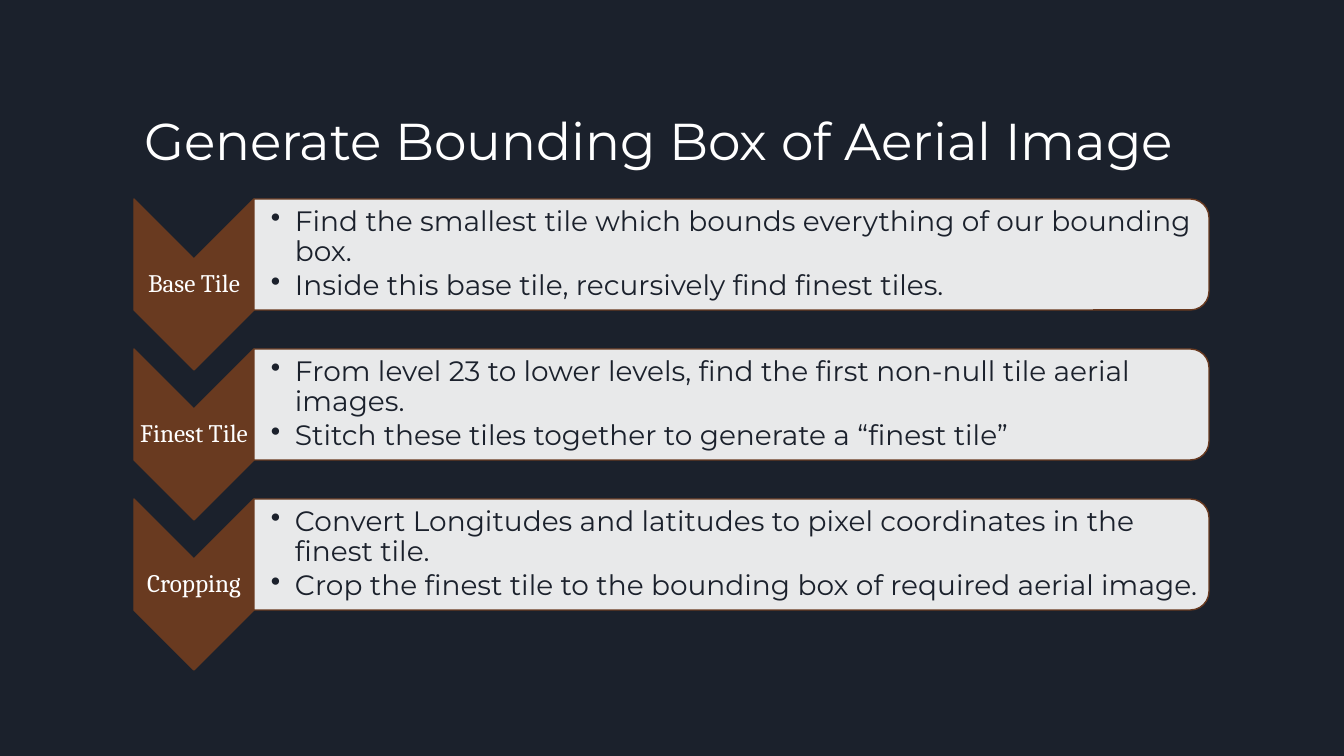
from lxml import etree
from pptx import Presentation
from pptx import util as u
from pptx.dml.color import RGBColor
from pptx.enum import shapes, text
from pptx.oxml.ns import qn

PX = 914400 / 100.8
HUE = {"dark": "1B212C", "rust": "693A20", "white": "FFFFFF"}
SHAPE = shapes.MSO_SHAPE
ALIGN = text.PP_ALIGN
MID = text.MSO_ANCHOR.MIDDLE

STEPS = [
    ("Base Tile", [
        "Find the smallest tile which bounds everything of our bounding box.",
        "Inside this base tile, recursively find finest tiles."]),
    ("Finest Tile", [
        "From level 23 to lower levels, find the first non-null tile aerial images.",
        "Stitch these tiles together to generate a “finest tile”"]),
    ("Cropping", [
        "Convert Longitudes and latitudes to pixel coordinates in the finest tile.",
        "Crop the finest tile to the bounding box of required aerial image."]),
]


def px(n):
    return u.Emu(round(n * PX))


def rgb(name):
    return RGBColor.from_string(HUE[name])


def apply(obj, **vals):
    for key, val in vals.items():
        setattr(obj, key, val)


def style(run, face, size, hue):
    apply(run.font, name=face, size=u.Pt(size))
    run.font.color.rgb = rgb(hue)


def turned(slide, kind, box, adjust, hue):
    """Add a shape turned a quarter right, so that it fills the box."""
    x, y, w, h = box
    left, top = x + (w - h) / 2, y + (h - w) / 2
    part = slide.shapes.add_shape(kind, px(left), px(top), px(h), px(w))
    apply(part, rotation=90)
    apply(part.shadow, inherit=False)
    for i, val in enumerate(adjust):
        part.adjustments[i] = val
    part.fill.solid()
    part.fill.fore_color.rgb = rgb(hue)
    part.line.color.rgb = rgb("rust")
    part.line.width = u.Pt(1)
    return part


def words(slide, box, lines, face, size, hue, inset=1, **form):
    """Add a text box with one paragraph a line."""
    frame = slide.shapes.add_textbox(*map(px, box)).text_frame
    apply(frame, word_wrap=True, vertical_anchor=MID, margin_left=px(inset),
          margin_right=px(1), margin_top=px(1), margin_bottom=px(1))
    for i, line in enumerate(lines):
        para = frame.add_paragraph() if i else frame.paragraphs[0]
        apply(para, line_spacing=0.9, space_before=u.Pt(3 if i else 0), **form)
        run = para.add_run()
        run.text = line
        style(run, face, size, hue)
    return frame


def bullet(para):
    props = para._p.get_or_add_pPr()
    props.set("marL", str(px(25)))
    props.set("indent", str(px(-24)))
    tint = etree.SubElement(props, qn("a:buClr"))
    etree.SubElement(tint, qn("a:srgbClr"), val=HUE["dark"])
    etree.SubElement(props, qn("a:buChar"), char="•")


def heading(slide, box, line):
    title = slide.shapes.title
    x, y, w, h = map(px, box)
    apply(title, left=x, top=y, width=w, height=h)
    frame = title.text_frame
    apply(frame, text=line, word_wrap=True,
          auto_size=text.MSO_AUTO_SIZE.NONE,
          vertical_anchor=text.MSO_ANCHOR.BOTTOM)
    para = frame.paragraphs[0]
    para.alignment = ALIGN.LEFT
    style(para.runs[0], "Montserrat", 37, "white")


def step(slide, box, label, lines):
    x, y, w, h = box
    side = 120
    # Arrow and its label
    turned(slide, SHAPE.CHEVRON, (x, y, side, h), [0.5], "rust")
    words(slide, (x, y + 60, side, h - 120), [label],
          "Cambria", 18, "white", alignment=ALIGN.CENTER)
    # Panel, slightly see-through
    panel = turned(slide, SHAPE.ROUND_2_SAME_RECTANGLE,
                   (x + side, y, w - side, 111), [0.167, 0], "white")
    tint = panel._element.spPr.find(qn("a:solidFill"))[0]
    etree.SubElement(tint, qn("a:alpha"), val="90000")
    # Bullets
    frame = words(slide, (x + side, y + 5, w - side - 5, 101), lines,
                  "Montserrat", 20, "dark", inset=16, alignment=ALIGN.LEFT)
    for para in frame.paragraphs:
        bullet(para)


def main():
    deck = Presentation()
    apply(deck, slide_width=px(1344), slide_height=px(756))
    slide = deck.slides.add_slide(deck.slide_layouts[5])
    slide.background.fill.solid()
    slide.background.fill.fore_color.rgb = rgb("dark")
    heading(slide, (134, 47, 1075, 129), "Generate Bounding Box of Aerial Image")
    for i, (label, lines) in enumerate(STEPS):
        step(slide, (134, 199 + 150 * i, 1075, 171), label, lines)
    deck.save("out.pptx")


if __name__ == "__main__":
    main()
